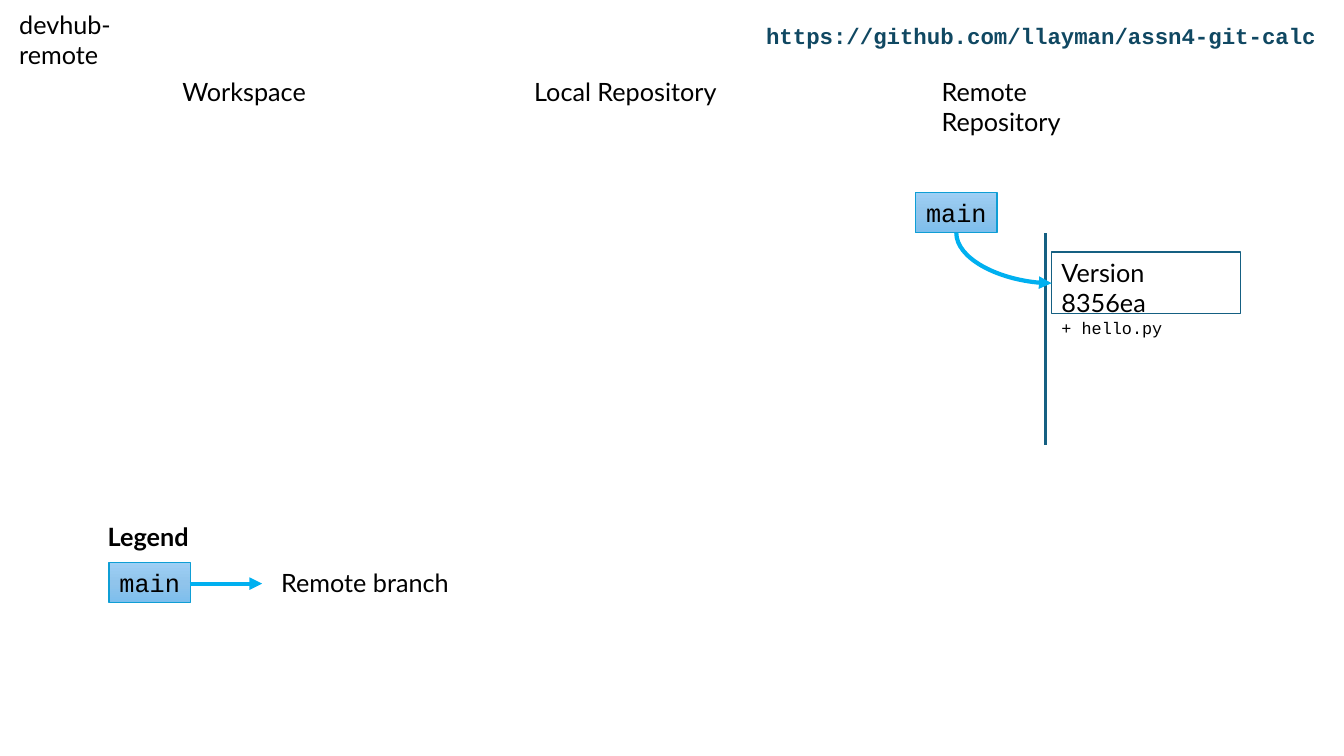
from copy import deepcopy

from pptx import Presentation
from pptx.dml.color import RGBColor
from pptx.enum.shapes import MSO_CONNECTOR as CONN, MSO_SHAPE as SHAPE
from pptx.enum.text import MSO_ANCHOR as ANCHOR, MSO_AUTO_SIZE as AUTO, PP_ALIGN as ALIGN
from pptx.oxml.ns import qn
from pptx.oxml.xmlchemy import OxmlElement
from pptx.util import Inches, Pt

SANS, MONO = "Lato", "Courier New"
BLACK, TEAL, SKY = "000000", "156082", "00B0F0"
BRANCH_STOPS = [(0, "9ECFF5"), (0.5, "90C4EB"), (1, "7CBEED")]
TAG_W, TAG_H = 0.81, 0.4


def rgb(value):
    return RGBColor.from_string(value)


def write(s, lines, wrap=True, align=ALIGN.LEFT, anchor=ANCHOR.TOP):
    tf = s.text_frame
    tf.word_wrap, tf.auto_size, tf.vertical_anchor = wrap, AUTO.NONE, anchor
    for i, (text, font, size, color, bold) in enumerate(lines):
        p = tf.paragraphs[0] if i == 0 else tf.add_paragraph()
        p.alignment, p.line_spacing, p.space_before = align, 1.0, Pt(0)
        r = p.add_run()
        r.text = text
        r.font.name, r.font.size, r.font.bold = font, Pt(size), bold
        r.font.color.rgb = rgb(color)


def add_label(slide, x, y, w, text, font=SANS, size=18, color=BLACK, bold=False):
    s = slide.shapes.add_textbox(Inches(x), Inches(y), Inches(w), Inches(0.4))
    write(s, [(text, font, size, color, bold)])


def add_rect(slide, x, y, w, h, line, width):
    s = slide.shapes.add_shape(SHAPE.RECTANGLE, Inches(x), Inches(y), Inches(w), Inches(h))
    s.shadow.inherit = False
    s.line.color.rgb, s.line.width = rgb(line), Pt(width)
    return s


def add_line(slide, x1, y1, x2, y2, color, width, arrow=False):
    s = slide.shapes.add_connector(CONN.STRAIGHT, Inches(x1), Inches(y1), Inches(x2), Inches(y2))
    s.line.color.rgb, s.line.width = rgb(color), Pt(width)
    if arrow:
        tail = OxmlElement("a:tailEnd")
        tail.set("type", "triangle")
        s.line._get_or_add_ln().append(tail)
    s._element.spPr.append(OxmlElement("a:effectLst"))
    return s


def add_curve(slide, x1, y1, x2, y2):
    s = add_line(slide, x1, y1, x2, y2, SKY, 3, arrow=True)
    dx, dy = x2 - x1, y2 - y1
    s.left, s.top = Inches((x1 + x2 - dy) / 2), Inches((y1 + y2 - dx) / 2)
    s.width, s.height = Inches(dy), Inches(dx)
    spPr = s._element.spPr
    spPr.find(qn("a:prstGeom")).set("prst", "curvedConnector2")
    xfrm = spPr.find(qn("a:xfrm"))
    xfrm.set("rot", str(270 * 60000))
    xfrm.set("flipH", "1")


def add_branch(slide, x, y):
    s = add_rect(slide, x, y, TAG_W, TAG_H, "0F9ED5", 1)
    s.fill.gradient()
    s.fill.gradient_angle = 270
    stops = s._element.spPr.find(".//" + qn("a:gsLst"))
    stops.insert(1, deepcopy(stops[0]))
    for stop, (position, color) in zip(s.fill.gradient_stops, BRANCH_STOPS):
        stop.position = position
        stop.color.rgb = rgb(color)
    write(s, [("main", MONO, 18, BLACK, False)], wrap=False,
          align=ALIGN.CENTER, anchor=ANCHOR.MIDDLE)


def add_header(slide, x, y):
    s = slide.shapes.title
    s.left, s.top, s.width, s.height = Inches(x), Inches(y), Inches(1.6), Inches(0.4)
    write(s, [("devhub-remote", SANS, 18, BLACK, False)])
    add_label(slide, x + 7.41, y + 0.13, 5.74, "https://github.com/llayman/assn4-git-calc",
              MONO, 16, "104862", True)


def add_columns(slide, y):
    for x, w, text in [(1.71, 1.43, "Workspace"), (5.2, 2.02, "Local Repository"),
                       (9.24, 2.2, "Remote Repository")]:
        add_label(slide, x, y, w, text)


def add_remote(slide, x, y):
    add_line(slide, x + 1.29, y + 2.5, x + 1.29, y + TAG_H, TEAL, 1.5)
    s = add_rect(slide, x + 1.35, y + 0.59, 1.87, 0.61, TEAL, 0.75)
    s.fill.background()
    write(s, [("Version 8356ea", SANS, 18, BLACK, False),
              ("+ hello.py", MONO, 12, BLACK, False)])
    add_branch(slide, x, y)
    add_curve(slide, x + TAG_W / 2, y + TAG_H, x + 1.35, y + 0.9)


def add_legend(slide, x, y):
    add_label(slide, x, y, 1.03, "Legend", bold=True)
    add_branch(slide, x + 0.11, y + 0.46)
    add_line(slide, x + 0.91, y + 0.67, x + 1.63, y + 0.67, SKY, 3, arrow=True)
    add_label(slide, x + 1.72, y + 0.46, 1.87, "Remote branch")


def main():
    prs = Presentation()
    prs.slide_width, prs.slide_height = Inches(13.33), Inches(7.5)
    slide = prs.slides.add_slide(prs.slide_layouts[5])
    add_header(slide, 0.09, 0.04)
    add_columns(slide, 0.71)
    add_remote(slide, 9.08, 1.91)
    add_legend(slide, 0.97, 5.12)
    prs.save("out.pptx")


if __name__ == "__main__":
    main()
